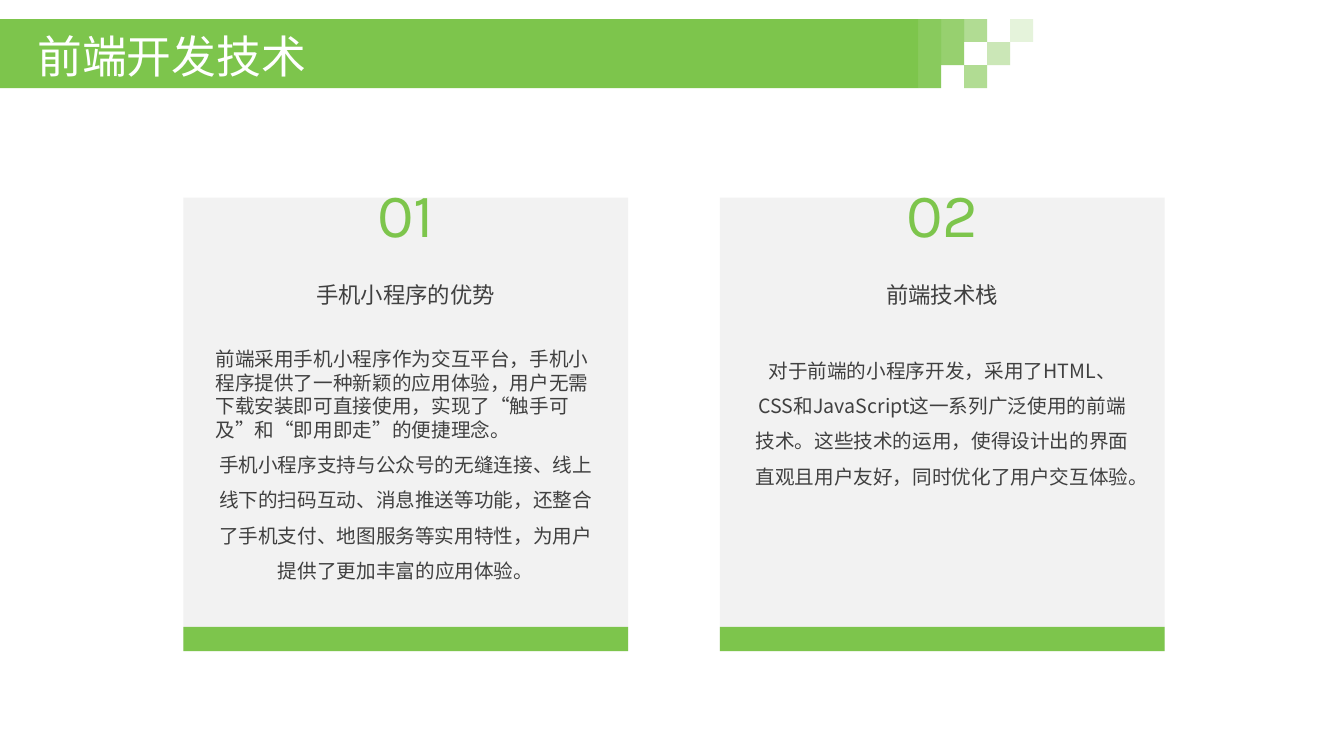
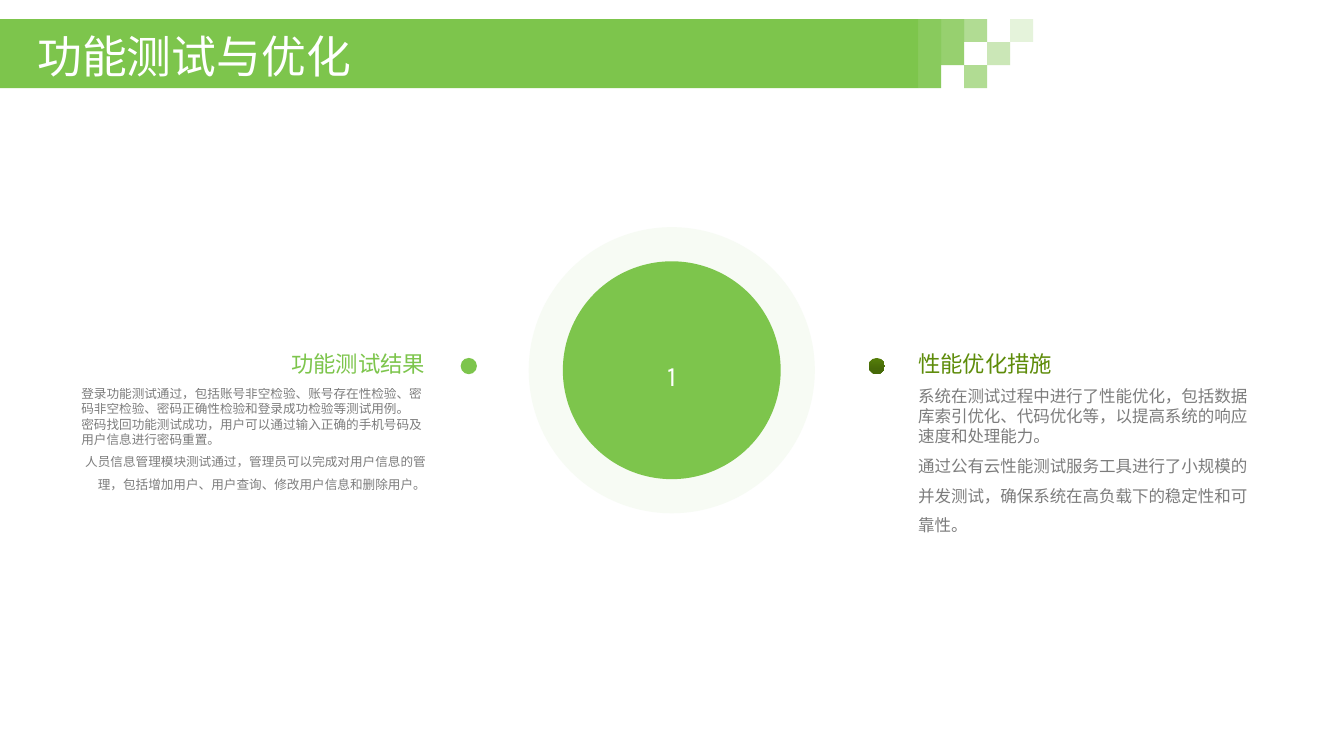
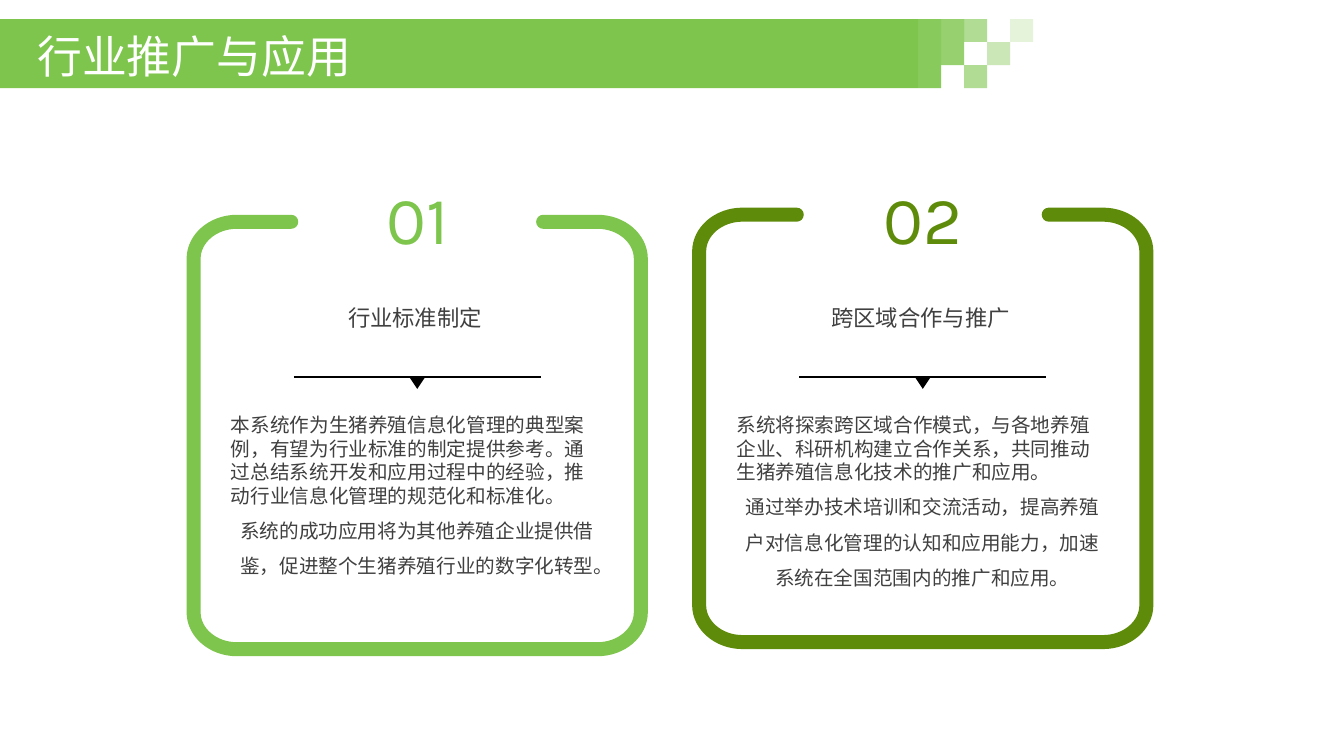
from dataclasses import dataclass, replace

from pptx import Presentation
from pptx.dml.color import RGBColor
from pptx.enum.shapes import MSO_CONNECTOR, MSO_SHAPE
from pptx.enum.text import MSO_ANCHOR, MSO_AUTO_SIZE, PP_ALIGN
from pptx.oxml.ns import qn
from pptx.util import Cm, Pt


@dataclass(frozen=True)
class Theme:
    green: str = "7DC54C"
    olive: str = "5E8C0A"
    olive_shades: tuple = ("557E09", "466908")
    halo: str = "E5F3DB"
    card: str = "F2F2F2"
    white: str = "FFFFFF"
    black: str = "000000"
    text: str = "404040"
    note: str = "262626"
    text_font: str = "Noto Sans CJK SC"
    number_font: str = "Karla"
    text_line_height: float = 1.2
    title_size: float = 32
    heading_size: float = 16
    body_size: float = 14
    small_note_size: float = 9
    large_note_size: float = 11.8
    card_number_size: float = 44
    panel_number_size: float = 48
    disc_number_size: float = 20


THEME = Theme()


@dataclass(frozen=True)
class TextStyle:
    size: float
    color: str = THEME.text
    font: str = THEME.text_font
    spacing: float = 1.5
    alignment: PP_ALIGN = PP_ALIGN.CENTER
    opacity: int = 100


TITLE = TextStyle(THEME.title_size, THEME.white, spacing=1.2, alignment=PP_ALIGN.LEFT)
HEADING = TextStyle(THEME.heading_size, spacing=1.3)
BODY = TextStyle(THEME.body_size)
NUMBER = TextStyle(THEME.card_number_size, THEME.green, THEME.number_font, 1.3)


def set_opacity(properties, percent):
    if percent < 100:
        for color in properties.iter(qn("a:srgbClr")):
            alpha = color.makeelement(qn("a:alpha"), {"val": str(percent * 1000)})
            color.append(alpha)


def format_paragraph(paragraph, style):
    paragraph.alignment = style.alignment
    paragraph.space_before = Pt(0)
    if style.font == THEME.text_font:
        paragraph.line_spacing = Pt(round(style.size * THEME.text_line_height * style.spacing, 1))
    else:
        paragraph.line_spacing = style.spacing
    font = paragraph.font
    font.size = Pt(style.size)
    font.name = style.font
    font.color.rgb = RGBColor.from_string(style.color)
    properties = paragraph._p.pPr.find(qn("a:defRPr"))
    east_asian = properties.makeelement(qn("a:ea"), {"typeface": style.font})
    properties.find(qn("a:latin")).addnext(east_asian)
    set_opacity(properties, style.opacity)


def write(frame, texts, style, anchor=MSO_ANCHOR.TOP, margins=True):
    frame.word_wrap = True
    frame.auto_size = MSO_AUTO_SIZE.NONE
    frame.vertical_anchor = anchor
    if not margins:
        frame.margin_left = frame.margin_right = frame.margin_top = frame.margin_bottom = 0
    compact = replace(style, spacing=1, alignment=PP_ALIGN.LEFT)
    for index, text in enumerate(texts):
        paragraph = frame.add_paragraph() if index else frame.paragraphs[0]
        paragraph.text = text
        format_paragraph(paragraph, style if index == len(texts) - 1 else compact)


def add_text(slide, left, top, width, height, texts, style, **layout):
    box = slide.shapes.add_textbox(Cm(left), Cm(top), Cm(width), Cm(height))
    write(box.text_frame, texts, style, **layout)


def add_block(slide, kind, left, top, width, height, color, opacity=100):
    shape = slide.shapes.add_shape(kind, Cm(left), Cm(top), Cm(width), Cm(height))
    shape.shadow.inherit = False
    shape.line.fill.background()
    shape.fill.solid()
    shape.fill.fore_color.rgb = RGBColor.from_string(color)
    set_opacity(shape._element.spPr, opacity)
    return shape


def add_title_band(slide, layout, left=0, top=0.48, width=23.14, cell=0.58):
    blocks = [add_block(slide, MSO_SHAPE.RECTANGLE, left, top, width, 3 * cell, THEME.green)]
    mosaic = [(0, 0, 3, 90), (1, 0, 2, 80), (2, 0, 1, 60),
              (2, 2, 1, 60), (3, 1, 1, 40), (4, 0, 1, 20)]
    for column, row, rows, opacity in mosaic:
        blocks.append(add_block(slide, MSO_SHAPE.RECTANGLE, left + width + column * cell,
                                top + row * cell, cell, rows * cell, THEME.green, opacity))
    for index, block in enumerate(blocks):
        block._element.nvSpPr.cNvPr.set("id", str(100 + index))
        layout.shapes._spTree.append(block._element)


def add_title(slide, text):
    title = slide.shapes.title
    title.left, title.top, title.width, title.height = Cm(0.94), Cm(0.67), Cm(22.17), Cm(1.19)
    write(title.text_frame, [text], TITLE, anchor=MSO_ANCHOR.MIDDLE, margins=False)


def add_card(slide, left, top, number, heading, texts):
    width, height, strip, inset, number_width = 11.21, 11.43, 0.61, 0.56, 4.19
    add_block(slide, MSO_SHAPE.RECTANGLE, left, top, width, height, THEME.card)
    add_block(slide, MSO_SHAPE.RECTANGLE, left, top + height - strip, width, strip, THEME.green)
    add_text(slide, left + (width - number_width) / 2, top - 1.22, number_width, 2.26,
             [number], NUMBER)
    inner_width = width - 2 * inset
    add_text(slide, left + inset, top + 1.26, inner_width, 2.16, [heading], HEADING,
             anchor=MSO_ANCHOR.MIDDLE)
    add_text(slide, left + inset, top + 3.64, inner_width, 6.4, texts, BODY)


def add_disc(slide, center_x, center_y, number):
    for diameter, color, opacity in [(7.21, THEME.halo, 30), (5.49, THEME.green, 100)]:
        disc = add_block(slide, MSO_SHAPE.OVAL, center_x - diameter / 2,
                         center_y - diameter / 2, diameter, diameter, color, opacity)
    style = replace(NUMBER, size=THEME.disc_number_size, color=THEME.white)
    write(disc.text_frame, [number], style, anchor=MSO_ANCHOR.MIDDLE, margins=False)


def add_note(slide, left, top, dot_offset, heading, texts, size, color, alignment):
    width = 9.17
    dot = add_block(slide, MSO_SHAPE.OVAL, left + dot_offset, top + 1.32, 0.41, 0.41, color)
    heading_style = TextStyle(THEME.heading_size, color, alignment=alignment)
    add_text(slide, left, top, width, 1.93, [heading], heading_style, anchor=MSO_ANCHOR.BOTTOM)
    note_style = TextStyle(size, THEME.note, alignment=alignment, opacity=60)
    add_text(slide, left, top + 1.91, width, 4.45, texts, note_style)
    return dot


def shade_dot(dot):
    dot.fill.gradient()
    dot.fill.gradient_angle = 270
    for stop, color, position in zip(dot.fill.gradient_stops, THEME.olive_shades, (0, 0.7)):
        stop.color.rgb = RGBColor.from_string(color)
        stop.position = position


def round_corner(path, segment, start, end, corner):
    curve = path.makeelement(qn("a:cubicBezTo"), {})
    controls = [tuple(round(point[axis] + 0.55 * (corner[axis] - point[axis])) for axis in (0, 1))
                for point in (start, end)]
    for x, y in controls + [end]:
        curve.append(path.makeelement(qn("a:pt"), {"x": str(x), "y": str(y)}))
    path.replace(segment, curve)


def add_open_frame(slide, left, top, width, height, color):
    radius_x, radius_y, stub = 1.09, 0.93, 2.46
    right, bottom = left + width, top + height
    points = [(right - stub, top),
              (right - radius_x, top), (right, top + radius_y),
              (right, bottom - radius_y), (right - radius_x, bottom),
              (left + radius_x, bottom), (left, bottom - radius_y),
              (left, top + radius_y), (left + radius_x, top),
              (left + stub, top)]
    points = [(Cm(x), Cm(y)) for x, y in points]
    builder = slide.shapes.build_freeform(*points[0])
    builder.add_line_segments(points[1:], close=False)
    frame = builder.convert_to_shape()
    local = [(x - Cm(left), y - Cm(top)) for x, y in points]
    outline = next(frame._element.iter(qn("a:path")))
    segments = list(outline)
    for index in range(2, 9, 2):
        start, end = local[index - 1], local[index]
        starts_level = index in (2, 6)
        corner = (end[0], start[1]) if starts_level else (start[0], end[1])
        round_corner(outline, segments[index], start, end, corner)
    frame.shadow.inherit = False
    frame.fill.background()
    frame.line.color.rgb = RGBColor.from_string(color)
    frame.line.width = Pt(10)
    frame._element.spPr.find(qn("a:ln")).set("cap", "rnd")


def add_divider(slide, center_x, top, width):
    line = slide.shapes.add_connector(MSO_CONNECTOR.STRAIGHT, Cm(center_x - width / 2), Cm(top),
                                      Cm(center_x + width / 2), Cm(top))
    line.line.color.rgb = RGBColor.from_string(THEME.black)
    line.line.width = Pt(1)
    properties = line._element.spPr
    properties.append(properties.makeelement(qn("a:effectLst"), {}))
    pointer = add_block(slide, MSO_SHAPE.ISOSCELES_TRIANGLE, center_x - 0.2, top, 0.4, 0.3,
                        THEME.black)
    pointer.rotation = 180


def add_panel(slide, left, top, frame_offset, number, heading, texts, color):
    width, number_width, inset = 11.27, 3.61, 0.69
    center = left + width / 2
    add_open_frame(slide, left, top + frame_offset, width, 10.77, color)
    number_style = replace(NUMBER, size=THEME.panel_number_size, color=color, spacing=1.1)
    add_text(slide, center - number_width / 2, top - 0.02, number_width, 3.38, [number],
             number_style, anchor=MSO_ANCHOR.MIDDLE, margins=False)
    add_text(slide, left + inset, top + 2.72, 9.78, 3.07, [heading],
             replace(HEADING, spacing=1.1), anchor=MSO_ANCHOR.MIDDLE)
    add_divider(slide, center, top + 5.79, 6.22)
    add_text(slide, left + inset, top + 6.57, 9.88, 5.49, texts, BODY)


def fill_technology_slide(slide):
    add_title(slide, "前端开发技术")
    add_card(slide, 4.62, 4.98, "01", "手机小程序的优势", [
        "前端采用手机小程序作为交互平台，手机小程序提供了一种新颖的应用体验，用户无需下载安装即可直接使用，实现了“触手可及”和“即用即走”的便捷理念。",
        "手机小程序支持与公众号的无缝连接、线上线下的扫码互动、消息推送等功能，还整合了手机支付、地图服务等实用特性，为用户提供了更加丰富的应用体验。",
    ])
    add_card(slide, 18.14, 4.98, "02", "前端技术栈", [
        "对于前端的小程序开发，采用了HTML、CSS和JavaScript这一系列广泛使用的前端技术。这些技术的运用，使得设计出的界面直观且用户友好，同时优化了用户交互体验。",
    ])


def fill_testing_slide(slide):
    add_title(slide, "功能测试与优化")
    add_disc(slide, 16.93, 9.33, "1")
    add_note(slide, 1.8, 7.7, 9.81, "功能测试结果", [
        "登录功能测试通过，包括账号非空检验、账号存在性检验、密码非空检验、密码正确性检验和登录成功检验等测试用例。",
        "密码找回功能测试成功，用户可以通过输入正确的手机号码及用户信息进行密码重置。",
        "人员信息管理模块测试通过，管理员可以完成对用户信息的管理，包括增加用户、用户查询、修改用户信息和删除用户。",
    ], THEME.small_note_size, THEME.green, PP_ALIGN.RIGHT)
    dot = add_note(slide, 22.89, 7.7, -1, "性能优化措施", [
        "系统在测试过程中进行了性能优化，包括数据库索引优化、代码优化等，以提高系统的响应速度和处理能力。",
        "通过公有云性能测试服务工具进行了小规模的并发测试，确保系统在高负载下的稳定性和可靠性。",
    ], THEME.large_note_size, THEME.olive, PP_ALIGN.LEFT)
    shade_dot(dot)


def fill_promotion_slide(slide):
    add_title(slide, "行业推广与应用")
    add_panel(slide, 4.88, 3.71, 1.88, "01", "行业标准制定", [
        "本系统作为生猪养殖信息化管理的典型案例，有望为行业标准的制定提供参考。通过总结系统开发和应用过程中的经验，推动行业信息化管理的规范化和标准化。",
        "系统的成功应用将为其他养殖企业提供借鉴，促进整个生猪养殖行业的数字化转型。",
    ], THEME.green)
    add_panel(slide, 17.62, 3.71, 1.7, "02", "跨区域合作与推广", [
        "系统将探索跨区域合作模式，与各地养殖企业、科研机构建立合作关系，共同推动生猪养殖信息化技术的推广和应用。",
        "通过举办技术培训和交流活动，提高养殖户对信息化管理的认知和应用能力，加速系统在全国范围内的推广和应用。",
    ], THEME.olive)


def main():
    presentation = Presentation()
    presentation.slide_width = Cm(33.87)
    presentation.slide_height = Cm(19.05)
    layout = presentation.slide_layouts[5]
    fillers = [fill_technology_slide, fill_testing_slide, fill_promotion_slide]
    slides = [presentation.slides.add_slide(layout) for filler in fillers]
    add_title_band(slides[0], layout)
    for slide, filler in zip(slides, fillers):
        filler(slide)
    presentation.save("out.pptx")


if __name__ == "__main__":
    main()
